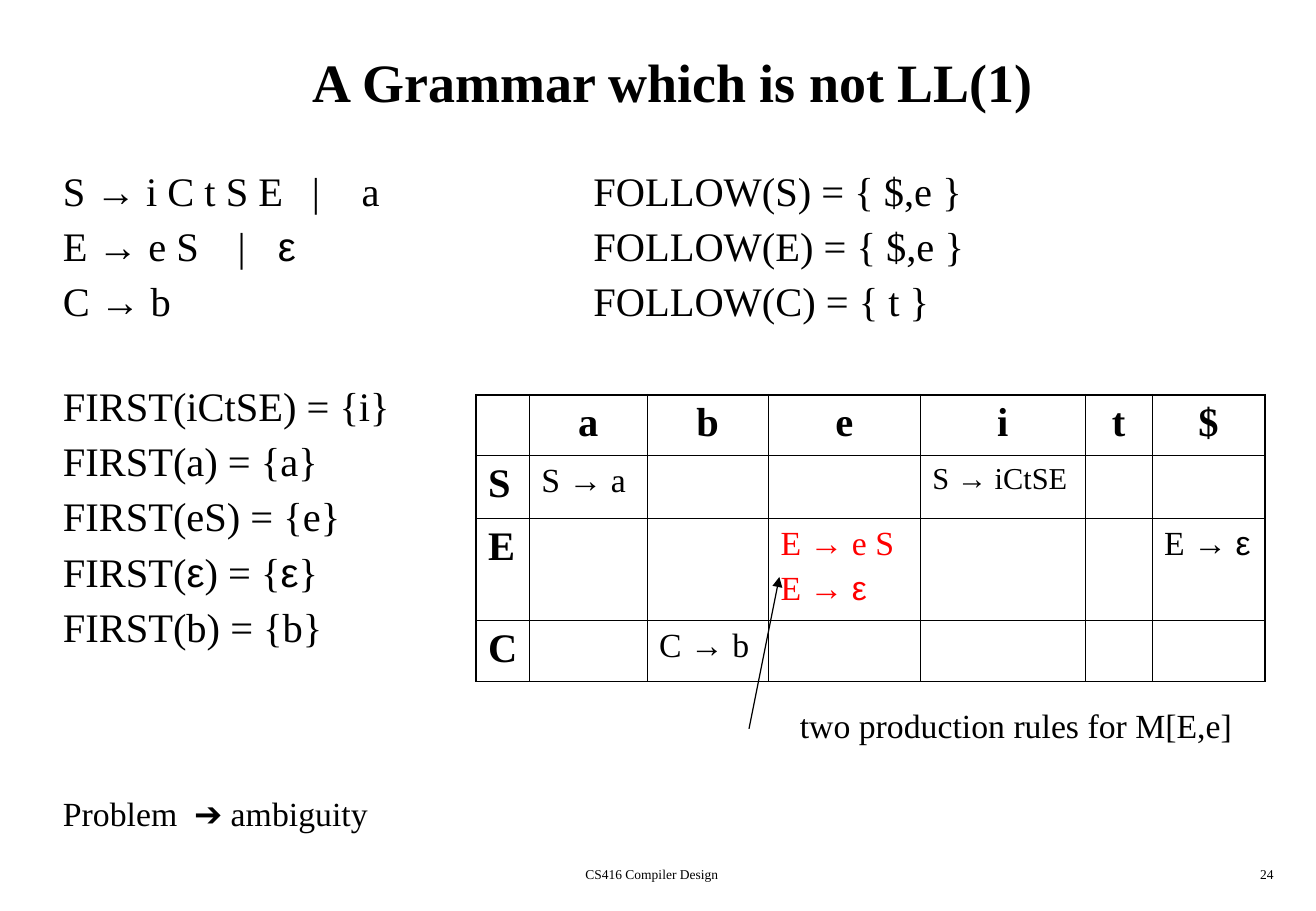
from itertools import groupby
from lxml import etree
from pptx import Presentation
from pptx.dml.color import RGBColor as RGB
from pptx.enum.shapes import MSO_CONNECTOR as CONN
from pptx.enum.text import MSO_ANCHOR as ANCHOR, PP_ALIGN as ALIGN
from pptx.oxml.ns import qn
from pptx.util import Inches, Pt

COLORS = {"ink": "000000", "conflict": "FF0000", "page": "FFFFFF"}
SYMBOLS = "→ε➔"


class GrammarSlide:
    text_font = "Times New Roman"
    symbol_font = "Arial"
    outer, inner = 1.08, 0.45

    def __init__(self, prs):
        self.s = prs.slides.add_slide(prs.slide_layouts[6])
        self.s.background.fill.solid()
        self.s.background.fill.fore_color.rgb = RGB.from_string(COLORS["page"])

    def fill_text(self, tf, lines, size, bold=False, color="ink",
                  align=ALIGN.LEFT, gap=0, spacing=1.0, tabs=()):
        for i, line in enumerate(lines):
            p = tf.paragraphs[0] if i == 0 else tf.add_paragraph()
            p.alignment = align
            p.line_spacing = spacing
            p.space_before = Pt(gap if i else 0)
            if i < len(tabs) and tabs[i]:
                stops = etree.SubElement(p._p.get_or_add_pPr(), qn("a:tabLst"))
                for stop in tabs[i]:
                    etree.SubElement(stops, qn("a:tab"), pos=str(Inches(stop)), algn="l")
            for is_symbol, chars in groupby(line, lambda c: c in SYMBOLS):
                r = p.add_run()
                r.text = "".join(chars)
                r.font.name = self.symbol_font if is_symbol else self.text_font
                r.font.size = Pt(size)
                r.font.bold = bold
                r.font.color.rgb = RGB.from_string(COLORS[color])

    def text(self, x, y, w, h, lines, size, anchor=ANCHOR.TOP, **style):
        sp = self.s.shapes.add_textbox(Inches(x), Inches(y), Inches(w), Inches(h))
        tf = sp.text_frame
        tf.word_wrap = True
        tf.vertical_anchor = anchor
        self.fill_text(tf, lines, size, **style)

    def border(self, cell, side, width):
        ln = etree.SubElement(cell._tc.get_or_add_tcPr(), qn(f"a:ln{side}"), w=str(Pt(width)))
        fill = etree.SubElement(ln, qn("a:solidFill"))
        etree.SubElement(fill, qn("a:srgbClr"), val=COLORS["ink"])

    def table(self, x, y, widths, heights, entries):
        frame = self.s.shapes.add_table(len(heights), len(widths), Inches(x), Inches(y),
                                        Inches(sum(widths)), Inches(sum(heights)))
        tbl = frame.table
        tbl.first_row = tbl.horz_banding = False
        for col, width in zip(tbl.columns, widths):
            col.width = Inches(width)
        for row, height in zip(tbl.rows, heights):
            row.height = Inches(height)
        last_row, last_col = len(heights) - 1, len(widths) - 1
        for i in range(len(heights)):
            for j in range(len(widths)):
                cell = tbl.cell(i, j)
                cell.margin_left = cell.margin_right = Inches(0.1)
                cell.margin_top = cell.margin_bottom = Inches(0.05)
                edges = {"L": j == 0, "R": j == last_col, "T": i == 0, "B": i == last_row}
                for side, is_outer in edges.items():
                    self.border(cell, side, self.outer if is_outer else self.inner)
                cell.fill.background()
                if (i, j) in entries:
                    lines, style = entries[i, j]
                    self.fill_text(cell.text_frame, lines, **style)

    def arrow(self, x1, y1, x2, y2):
        cn = self.s.shapes.add_connector(CONN.STRAIGHT, Inches(x1), Inches(y1),
                                         Inches(x2), Inches(y2))
        cn.line.color.rgb = RGB.from_string(COLORS["ink"])
        cn.line.width = Pt(0.75)
        etree.SubElement(cn.line._get_or_add_ln(), qn("a:tailEnd"), type="triangle")
        etree.SubElement(cn._element.spPr, qn("a:effectLst"))


def parsing_table():
    head = {"size": 24, "bold": True}
    rule = {"size": 20}
    entries = {(0, j): ([t], {**head, "align": ALIGN.CENTER})
               for j, t in enumerate("abeit$", 1)}
    entries.update({(i, 0): ([n], head) for i, n in enumerate("SEC", 1)})
    entries.update({
        (1, 1): (["S → a"], rule),
        (1, 4): (["S → iCtSE"], {"size": 18}),
        (2, 3): (["E → e S", "E → ε"], {**rule, "color": "conflict", "gap": 4.5}),
        (2, 6): (["E → ε"], rule),
        (3, 2): (["C → b"], rule),
    })
    return entries


def main():
    prs = Presentation()
    prs.slide_width, prs.slide_height = Inches(10.84), Inches(7.5)
    slide = GrammarSlide(prs)
    listing = {"size": 24, "gap": 6.9, "spacing": 0.9}

    slide.text(0.42, 0.17, 10.25, 1, ["A Grammar which is not LL(1)"], 32,
               anchor=ANCHOR.MIDDLE, bold=True, align=ALIGN.CENTER)
    slide.text(0.42, 1.36, 4.2, 1.4, ["S → i C t S E\t|\ta", "E → e S\t|\tε", "C → b"],
               tabs=[(2.05, 2.46), (1.44, 1.77)], **listing)
    slide.text(4.79, 1.36, 4.5, 1.4,
               ["FOLLOW(S) = { $,e }", "FOLLOW(E) = { $,e }", "FOLLOW(C) = { t }"], **listing)
    firsts = [("iCtSE", "i"), ("a", "a"), ("eS", "e"), ("ε", "ε"), ("b", "b")]
    slide.text(0.42, 3.13, 3.4, 2.3, [f"FIRST({a}) = {{{b}}}" for a, b in firsts], **listing)
    slide.table(3.92, 3.25, [0.44, 0.97, 1, 1.25, 1.36, 0.55, 0.93],
                [0.5, 0.52, 0.84, 0.5], parsing_table())
    slide.text(6.49, 5.75, 4.1, 0.42, ["two production rules for M[E,e]"], 20)
    slide.arrow(6.17, 6, 6.42, 4.75)
    slide.text(0.42, 6.48, 4.2, 0.42, ["Problem\t➔ ambiguity"], 20, tabs=[(1.08,)])
    slide.text(3.34, 7.08, 4.06, 0.25, ["CS416 Compiler Design"], 8, align=ALIGN.CENTER)
    slide.text(8.33, 7.08, 2.26, 0.25, ["24"], 8, align=ALIGN.RIGHT)
    prs.save("out.pptx")


if __name__ == "__main__":
    main()
